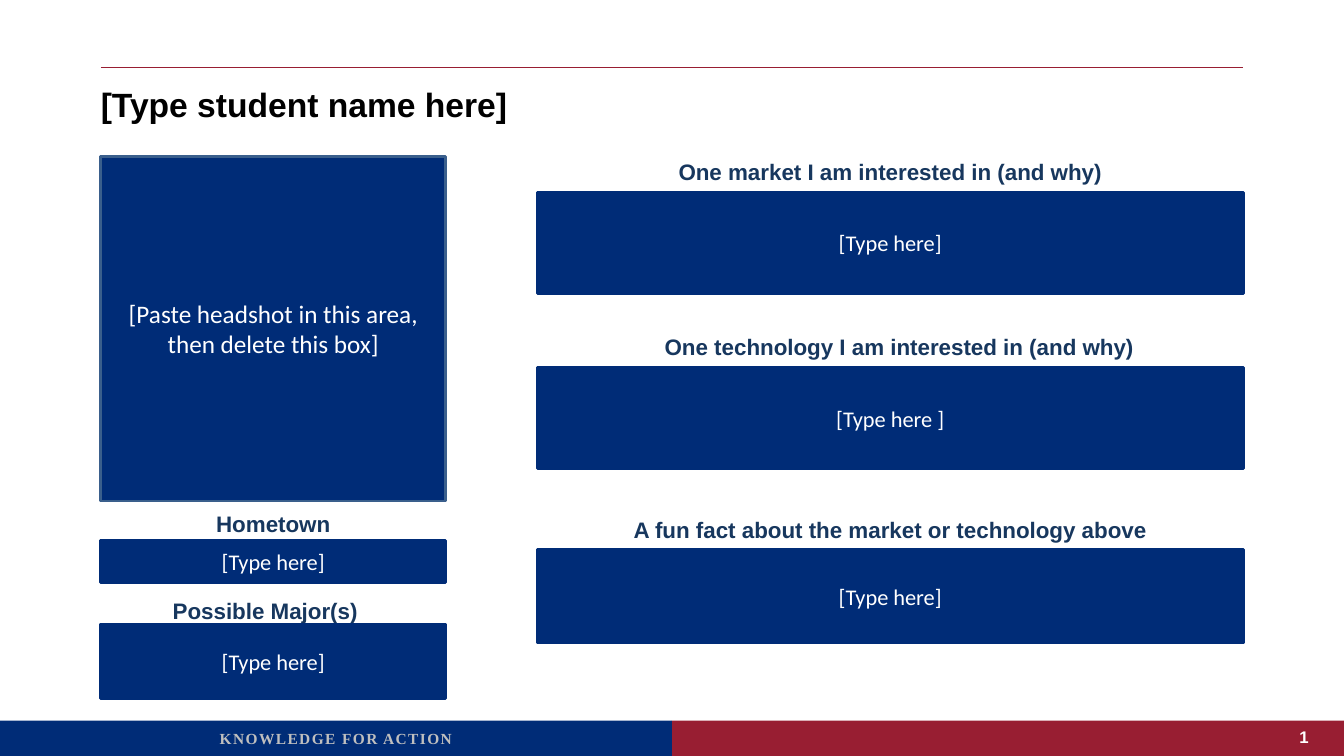
import pptx
import pptx.util
from lxml import etree
from pptx.dml.color import RGBColor
from pptx.enum.shapes import MSO_CONNECTOR, MSO_SHAPE
from pptx.enum.text import MSO_ANCHOR, PP_ALIGN
from pptx.oxml.ns import qn

NAVY = RGBColor(0x00, 0x2C, 0x77)
CRIMSON = RGBColor(0x98, 0x1E, 0x32)
HEADING = RGBColor(0x17, 0x37, 0x5E)
FRAME = RGBColor(0x3A, 0x5F, 0x8C)
SILVER = RGBColor(0xBF, 0xBF, 0xBF)
WHITE = RGBColor(0xFF, 0xFF, 0xFF)
BLACK = RGBColor(0x00, 0x00, 0x00)

WIDTH, HEIGHT = 13.33, 7.5
MARGIN = 1
FOOTER_HEIGHT = 0.35
CAPTION_HEIGHT = 0.5
LEFT_COLUMN = (MARGIN, 3.42)
RIGHT_COLUMN = (5.33, 7)


def inches(*lengths):
    return [pptx.util.Inches(length) for length in lengths]


def write(shape, text, size, color, font="Arial", bold=False, align=PP_ALIGN.CENTER,
          anchor=MSO_ANCHOR.MIDDLE, insets=(0, 0, 0, 0), line_spacing=None, tracking=None):
    frame = shape.text_frame
    frame.word_wrap = True
    frame.vertical_anchor = anchor
    (frame.margin_left, frame.margin_top,
     frame.margin_right, frame.margin_bottom) = inches(*insets)
    para = frame.paragraphs[0]
    para.alignment = align
    if line_spacing:
        para.line_spacing = line_spacing
    span = para.add_run()
    span.text = text
    span.font.name = font
    span.font.size = pptx.util.Pt(size)
    span.font.bold = bold
    span.font.color.rgb = color
    if tracking:
        span.font._element.set("spc", str(tracking * 100))


def add_text(page, box, text, **style):
    write(page.shapes.add_textbox(*inches(*box)), text, **style)


def add_panel(page, box, fill, outline=None):
    panel = page.shapes.add_shape(MSO_SHAPE.RECTANGLE, *inches(*box))
    panel.shadow.inherit = False
    panel.fill.solid()
    panel.fill.fore_color.rgb = fill
    if outline is None:
        panel.line.fill.background()
    else:
        panel.line.color.rgb = outline
        panel.line.width = pptx.util.Pt(2)
    return panel


def add_answer(page, box, text, size=16, outline=NAVY):
    write(add_panel(page, box, NAVY, outline), text, size=size, color=WHITE,
          font="Calibri", insets=(0.1, 0.05, 0.1, 0.05))


def add_field(page, box, caption, answer="[Type here]", lift=0.49, shift=0):
    """Place an answer box with its caption raised by lift and moved by shift."""
    left, top, width, _ = box
    add_text(page, (left + shift, top - lift, width, CAPTION_HEIGHT), caption,
             size=16, color=HEADING, bold=True, line_spacing=1.25)
    add_answer(page, box, answer)


def add_header(page, box):
    left, top, width, height = box
    rule = page.shapes.add_connector(
        MSO_CONNECTOR.STRAIGHT, *inches(left, top, left + width, top))
    rule.line.color.rgb = CRIMSON
    rule.line.width = pptx.util.Pt(0.5)
    etree.SubElement(rule._element.spPr, qn("a:effectLst"))
    add_text(page, (left, top + 0.16, width, height - 0.16), "[Type student name here]",
             size=24, color=BLACK, bold=True, align=PP_ALIGN.LEFT, anchor=MSO_ANCHOR.TOP)


def add_footer(page, box):
    left, top, width, height = box
    half = width / 2
    add_panel(page, (left + half, top, half, height), CRIMSON)
    add_panel(page, (left, top, half, height), NAVY)
    add_text(page, (left, top + 0.03, half, 0.29), "KNOWLEDGE FOR ACTION", size=11,
             color=SILVER, font="Times New Roman", bold=True, tracking=1,
             anchor=MSO_ANCHOR.TOP, insets=(0.1, 0.05, 0.1, 0.05))
    add_text(page, (left + width - 1.22, top, 1.12, 0.32), "1", size=12, color=WHITE,
             bold=True, align=PP_ALIGN.RIGHT, insets=(0, 0, 0.25, 0))


def add_profile(page, column):
    left, width = column
    add_field(page, (left, 5.36, width, 0.42), "Hometown", lift=0.45)
    add_field(page, (left, 6.19, width, 0.74), "Possible Major(s)", lift=0.42, shift=-0.08)
    add_answer(page, (left, 1.55, width, width),
               "[Paste headshot in this area, then delete this box]", size=18, outline=FRAME)


def add_interests(page, column):
    left, width = column
    add_field(page, (left, 1.91, width, 1), "One market I am interested in (and why)")
    add_field(page, (left, 3.65, width, 1), "One technology I am interested in (and why)",
              answer="[Type here ]", shift=0.09)
    add_field(page, (left, 5.45, width, 0.93),
              "A fun fact about the market or technology above", lift=0.48)


def main():
    deck = pptx.Presentation()
    deck.slide_width, deck.slide_height = inches(WIDTH, HEIGHT)
    page = deck.slides.add_slide(deck.slide_layouts[6])
    add_footer(page, (0, HEIGHT - FOOTER_HEIGHT, WIDTH, FOOTER_HEIGHT))
    add_header(page, (MARGIN, 0.67, WIDTH - 2 * MARGIN, 0.66))
    add_profile(page, LEFT_COLUMN)
    add_interests(page, RIGHT_COLUMN)
    deck.save("out.pptx")


if __name__ == "__main__":
    main()
